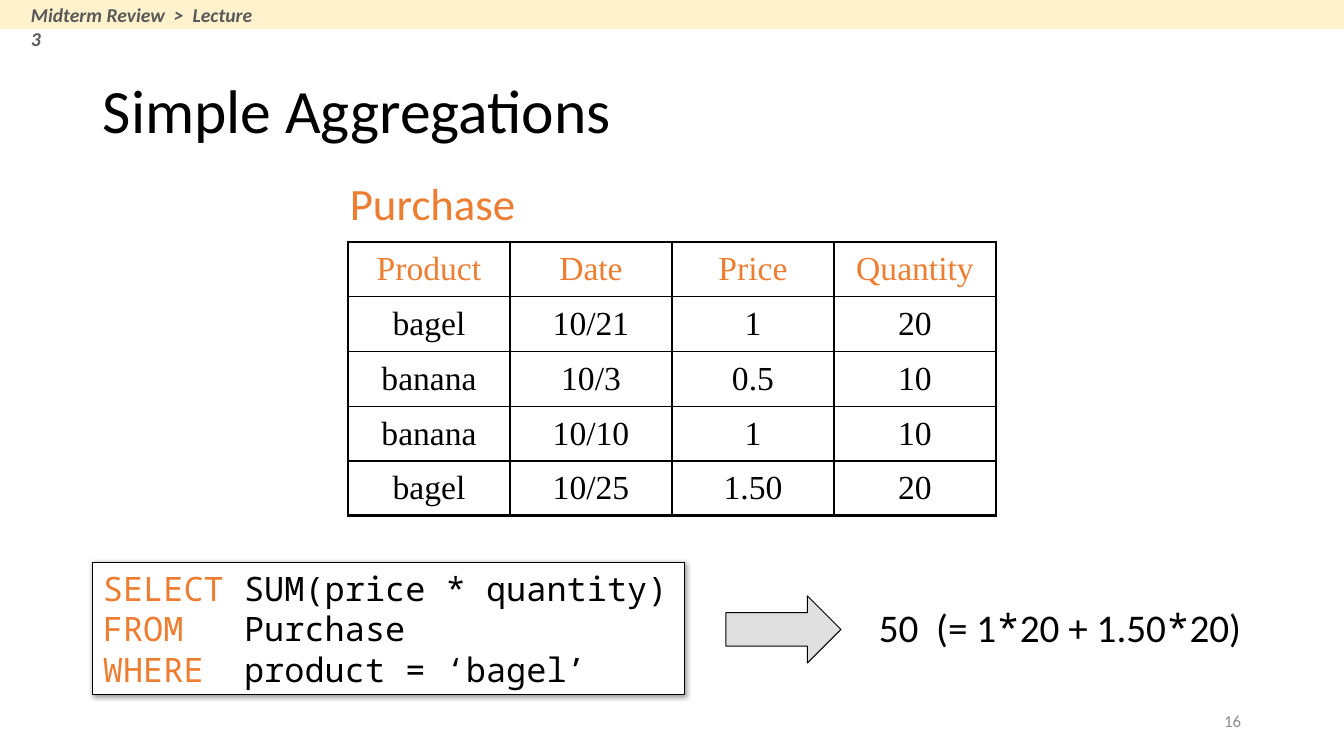
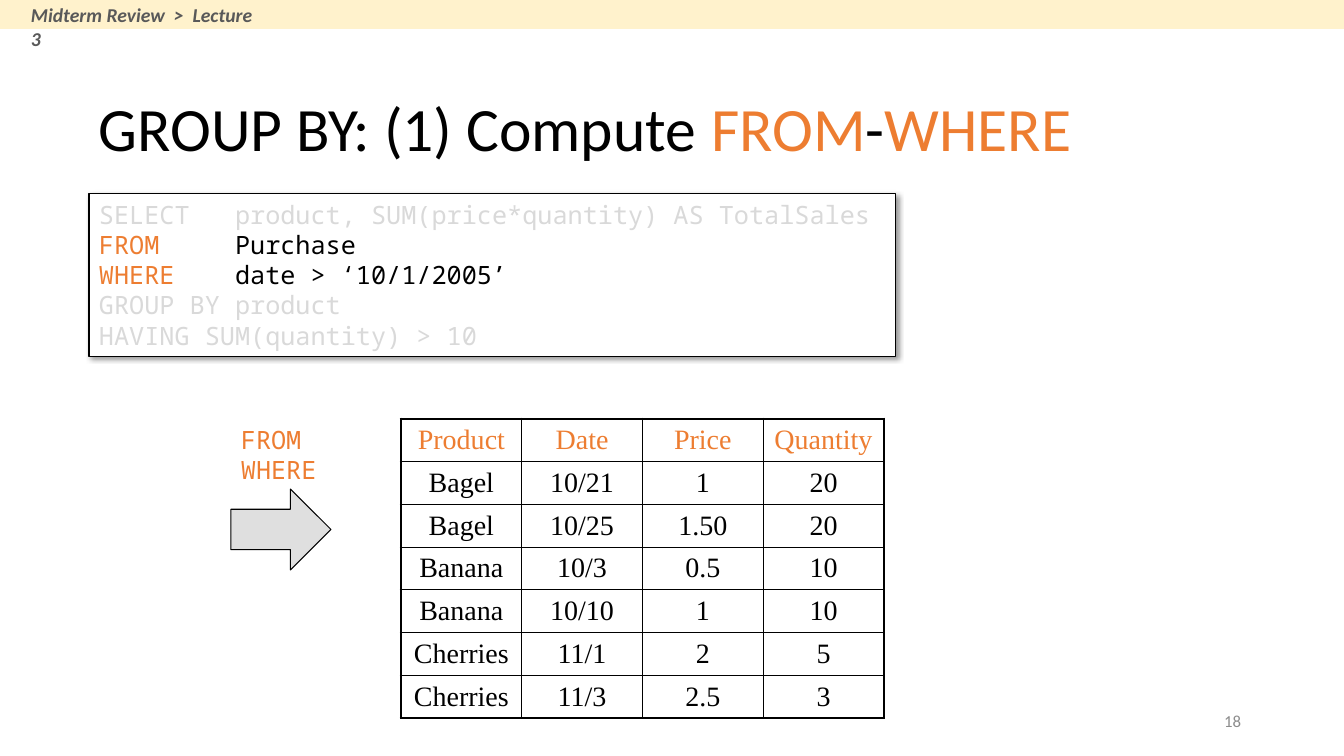
import lxml.etree
import pptx
import pptx.dml.color
import pptx.enum.shapes
import pptx.enum.text
import pptx.oxml
import pptx.oxml.ns
import pptx.util

RGBColor = pptx.dml.color.RGBColor
Align = pptx.enum.text.PP_ALIGN
Anchor = pptx.enum.text.MSO_ANCHOR
Shape = pptx.enum.shapes.MSO_SHAPE
qn = pptx.oxml.ns.qn

EMU_PER_PX = 12192000 / 1344
SLIDE_WIDTH, SLIDE_HEIGHT = 1344, 756

BLACK = RGBColor(0x00, 0x00, 0x00)
WHITE = RGBColor(0xFF, 0xFF, 0xFF)
ORANGE = RGBColor(0xED, 0x7D, 0x31)
CREAM = RGBColor(0xFF, 0xF2, 0xCC)
SILVER = RGBColor(0xC0, 0xC0, 0xC0)
FADED = RGBColor(0xD9, 0xD9, 0xD9)
HEADER_GRAY = RGBColor(0x59, 0x59, 0x59)
NUMBER_GRAY = RGBColor(0x8C, 0x8C, 0x8C)

SANS = "Calibri"
MONO = "Noto Sans Mono"
SERIF = "Times New Roman"

THICK, THIN = 2.25, 1
COLUMNS = ["Product", "Date", "Price", "Quantity"]


def px(length):
    return pptx.util.Emu(round(length * EMU_PER_PX))


def box(left, top, width, height):
    return px(left), px(top), px(width), px(height)


def add_run(paragraph, text, size, color, font=SANS):
    run = paragraph.add_run()
    run.text = text
    run.font.name = font
    run.font.size = pptx.util.Pt(size)
    run.font.color.rgb = color
    return run


def write_lines(frame, lines, size, font=SANS):
    """Write one paragraph per line; a line is a list of (text, color[, font]) runs."""
    for index, line in enumerate(lines):
        paragraph = frame.add_paragraph() if index else frame.paragraphs[0]
        paragraph.alignment = Align.LEFT
        for text, color, *own_font in line:
            add_run(paragraph, text, size, color, *(own_font or [font]))


def add_text(slide, area, lines, size, font=SANS, wrap=False, anchor=Anchor.TOP):
    frame = slide.shapes.add_textbox(*box(*area)).text_frame
    frame.word_wrap = wrap
    frame.vertical_anchor = anchor
    write_lines(frame, lines, size, font)
    return frame


def add_filled_shape(slide, preset, area, fill):
    shape = slide.shapes.add_shape(preset, *box(*area))
    shape.shadow.inherit = False
    shape.fill.solid()
    shape.fill.fore_color.rgb = fill
    return shape


def outline(shape):
    shape.line.color.rgb = BLACK
    shape.line.width = pptx.util.Pt(0.75)


def add_alpha(color_element, percent):
    alpha = lxml.etree.SubElement(color_element, qn("a:alpha"))
    alpha.set("val", str(percent * 1000))


def add_drop_shadow(shape):
    effects = shape._element.spPr.find(qn("a:effectLst"))
    shadow = lxml.etree.SubElement(effects, qn("a:outerShdw"))
    shadow.set("blurRad", str(pptx.util.Pt(4)))
    shadow.set("dist", str(pptx.util.Pt(1)))
    shadow.set("dir", str(45 * 60000))
    shadow.set("algn", "tl")
    shadow.set("rotWithShape", "0")
    color = lxml.etree.SubElement(shadow, qn("a:srgbClr"))
    color.set("val", str(BLACK))
    add_alpha(color, 40)


def add_code_box(slide, area, lines, size):
    shape = add_filled_shape(slide, Shape.RECTANGLE, area, WHITE)
    outline(shape)
    add_drop_shadow(shape)
    shape.text_frame.word_wrap = True
    shape.text_frame.vertical_anchor = Anchor.TOP
    write_lines(shape.text_frame, lines, size, MONO)


def add_arrow(slide, area):
    arrow = add_filled_shape(slide, Shape.RIGHT_ARROW, area, SILVER)
    outline(arrow)
    fill = arrow._element.spPr.find(qn("a:solidFill"))
    add_alpha(fill.find(qn("a:srgbClr")), 50)


def set_borders(cell, widths):
    """Draw the cell's borders, given in points by side: L, R, T, B."""
    properties = cell._tc.get_or_add_tcPr()
    for index, (side, width) in enumerate(widths.items()):
        line = pptx.oxml.parse_xml(
            f'<a:ln{side} {pptx.oxml.ns.nsdecls("a")} w="{pptx.util.Pt(width)}">'
            f'<a:solidFill><a:srgbClr val="{BLACK}"/></a:solidFill></a:ln{side}>')
        properties.insert(index, line)


def add_data_table(slide, area, records, size):
    rows = [COLUMNS] + records
    last_row, last_column = len(rows) - 1, len(COLUMNS) - 1
    table = slide.shapes.add_table(len(rows), len(COLUMNS), *box(*area)).table
    table.first_row = False
    table.horz_banding = False
    for row, values in enumerate(rows):
        for column, value in enumerate(values):
            cell = table.cell(row, column)
            cell.fill.background()
            cell.vertical_anchor = Anchor.MIDDLE
            cell.margin_top = cell.margin_bottom = px(4)
            paragraph = cell.text_frame.paragraphs[0]
            paragraph.alignment = Align.CENTER
            add_run(paragraph, value, size, BLACK if row else ORANGE, SERIF)
            set_borders(cell, {
                "L": THIN if column else THICK,
                "R": THICK if column == last_column else THIN,
                "T": THIN if row else THICK,
                "B": THICK if row == last_row else THIN,
            })


def add_title(slide, area, runs):
    frame = add_text(slide, area, [runs], 44, wrap=True, anchor=Anchor.MIDDLE)
    frame.paragraphs[0].line_spacing = 0.9


def add_base_slide(presentation, number):
    """Add a blank slide with the header band and the page number."""
    slide = presentation.slides.add_slide(presentation.slide_layouts[6])
    band = add_filled_shape(slide, Shape.RECTANGLE, (0, 0, SLIDE_WIDTH, 29), CREAM)
    band.line.fill.background()
    header = add_text(slide, (21, -2, 250, 34),
                      [[("Midterm Review  >  Lecture 3", HEADER_GRAY)]], 14, wrap=True)
    header.paragraphs[0].runs[0].font.bold = True
    header.paragraphs[0].runs[0].font.italic = True
    footer = add_text(slide, (949, 701, 302, 40), [[(number, NUMBER_GRAY)]], 12,
                      wrap=True, anchor=Anchor.MIDDLE)
    footer.paragraphs[0].alignment = Align.RIGHT
    return slide


def add_aggregation_slide(presentation):
    slide = add_base_slide(presentation, "16")
    add_title(slide, (93, 41, 1159, 146), [("Simple Aggregations", BLACK)])
    add_text(slide, (340, 171, 187, 65), [[("Purchase", ORANGE)]], 32)
    add_data_table(slide, (348, 242, 648, 274), [
        ["bagel", "10/21", "1", "20"],
        ["banana", "10/3", "0.5", "10"],
        ["banana", "10/10", "1", "10"],
        ["bagel", "10/25", "1.50", "20"],
    ], 24)
    add_code_box(slide, (93, 563, 592, 132), [
        [("SELECT ", ORANGE), ("SUM(price * quantity)", BLACK)],
        [("FROM   ", ORANGE), ("Purchase", BLACK)],
        [("WHERE  ", ORANGE), ("product = ‘bagel’", BLACK)],
    ], 24)
    add_arrow(slide, (726, 596, 115, 67))
    add_text(slide, (869, 598, 387, 57), [[
        ("50  (= 1", BLACK), ("*", BLACK, MONO), ("20 + 1.50", BLACK),
        ("*", BLACK, MONO), ("20)", BLACK),
    ]], 28)


def add_group_by_slide(presentation):
    slide = add_base_slide(presentation, "18")
    add_title(slide, (89, 69, 1108, 126), [
        ("GROUP BY: (1) Compute ", BLACK), ("FROM", ORANGE),
        ("-", BLACK), ("WHERE", ORANGE),
    ])
    add_code_box(slide, (89, 194, 807, 163), [
        [("SELECT   product, SUM(price*quantity) AS TotalSales", FADED)],
        [("FROM     ", ORANGE), ("Purchase", BLACK)],
        [("WHERE    ", ORANGE), ("date > ‘10/1/2005’", BLACK)],
        [("GROUP BY product", FADED)],
        [("HAVING SUM(quantity) > 10", FADED)],
    ], 18)
    add_text(slide, (231, 419, 97, 72), [[("FROM", ORANGE)], [("WHERE", ORANGE)]],
             18, MONO)
    add_arrow(slide, (231, 489, 100, 81))
    add_data_table(slide, (401, 419, 483, 299), [
        ["Bagel", "10/21", "1", "20"],
        ["Bagel", "10/25", "1.50", "20"],
        ["Banana", "10/3", "0.5", "10"],
        ["Banana", "10/10", "1", "10"],
        ["Cherries", "11/1", "2", "5"],
        ["Cherries", "11/3", "2.5", "3"],
    ], 20)


def main():
    presentation = pptx.Presentation()
    presentation.slide_width = px(SLIDE_WIDTH)
    presentation.slide_height = px(SLIDE_HEIGHT)
    add_aggregation_slide(presentation)
    add_group_by_slide(presentation)
    presentation.save("out.pptx")


if __name__ == "__main__":
    main()
